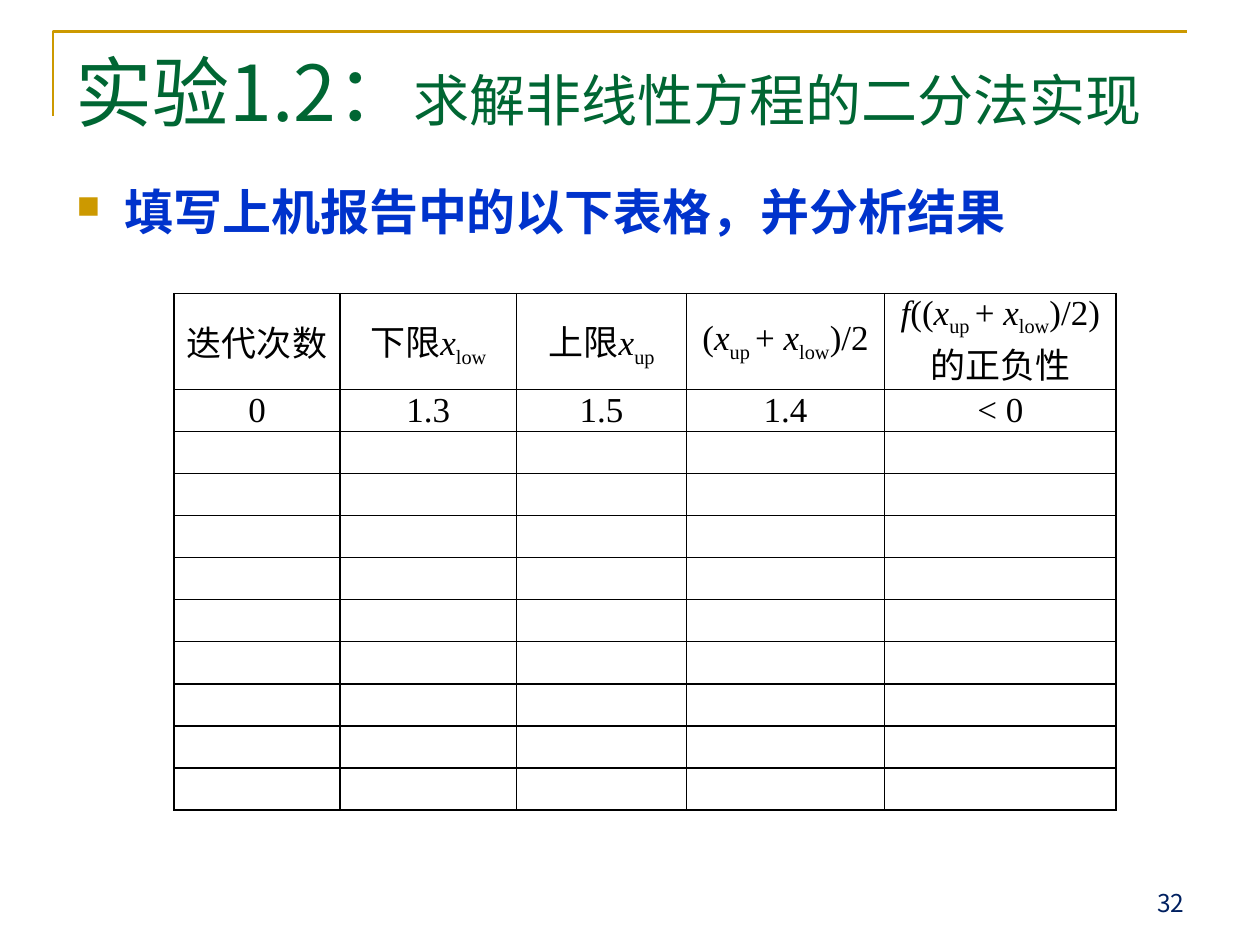
from dataclasses import dataclass

from lxml.etree import SubElement
from pptx import Presentation
from pptx.dml.color import RGBColor as RGB
from pptx.enum.text import MSO_ANCHOR as Anchor, MSO_AUTO_SIZE as AutoSize, PP_ALIGN as Align
from pptx.oxml.ns import qn
from pptx.util import Inches, Pt


@dataclass(frozen=True)
class Theme:
    sans: str = "Noto Sans CJK SC"
    serif: str = "Times New Roman"
    green: str = "006633"
    blue: str = "0033CC"
    navy: str = "002060"
    gold: str = "CC9900"
    black: str = "000000"
    title: int = 44
    subtitle: int = 32
    body: int = 28
    table: int = 20
    number: int = 14


THEME = Theme()

TITLE = [("实验1.2：", {}), ("求解非线性方程的二分法实现", {"size": THEME.subtitle})]
TASK = "填写上机报告中的以下表格，并分析结果"
PAGE_NUMBER = "32"

X = ("x", {"italic": True})
LOW = ("low", {"sub": True})
UP = ("up", {"sub": True})
UP_GAP = ("up ", {"sub": True})
SUM = [X, UP_GAP, "+ ", X, LOW]
HEADINGS = [
    ["迭代次数"],
    ["下限", X, LOW],
    ["上限", X, UP],
    ["(", *SUM, ")/2"],
    [("f", {"italic": True}), "((", *SUM, ")/2)", "\n", "的正负性"],
]
FIRST_ITERATION = ["0", "1.3", "1.5", "1.4", "< 0"]
EMPTY_ROWS = 9

COLUMN_WIDTHS = [1.32, 1.4, 1.35, 1.57, 1.84]
HEADING_HEIGHT, ROW_HEIGHT = 0.76, 0.31


def write(frame, content, *, size, color, font=THEME.sans, bold=False,
          align=Align.LEFT, anchor=Anchor.TOP, bullet=None):
    frame.word_wrap = True
    frame.vertical_anchor = anchor
    paragraph = frame.paragraphs[0]
    paragraph.alignment = align
    if bullet:
        properties = paragraph._p.get_or_add_pPr()
        properties.set("marL", str(Inches(0.38)))
        properties.set("indent", str(-Inches(0.38)))
        bullet_color = SubElement(properties, qn("a:buClr"))
        SubElement(bullet_color, qn("a:srgbClr"), val=THEME.gold)
        SubElement(properties, qn("a:buSzPct"), val="65000")
        SubElement(properties, qn("a:buChar"), char=bullet)
    if not content:
        ending = SubElement(paragraph._p, qn("a:endParaRPr"), sz=str(size * 100))
        SubElement(ending, qn("a:latin"), typeface=font)
    for piece in [content] if isinstance(content, str) else content:
        if piece == "\n":
            paragraph = frame.add_paragraph()
            paragraph.alignment = align
            continue
        words, style = (piece, {}) if isinstance(piece, str) else piece
        if not words:
            continue
        run = paragraph.add_run()
        run.text = words
        run.font.name = font
        run.font.size = Pt(style.get("size", size))
        run.font.bold = bold
        run.font.italic = style.get("italic", False)
        run.font.color.rgb = RGB.from_string(color)
        SubElement(run.font._element, qn("a:ea"), typeface=THEME.sans)
        if style.get("sub"):
            run.font._element.set("baseline", "-25000")


def add_corner_rule(slide):
    outline = slide.shapes.build_freeform(Inches(0.42), Inches(0.92))
    outline.add_line_segments(
        [(Inches(0.42), Inches(0.25)), (Inches(9.42), Inches(0.25))], close=False)
    corner = outline.convert_to_shape()
    corner.shadow.inherit = False
    corner.fill.background()
    corner.line.color.rgb = RGB.from_string(THEME.gold)
    corner.line.width = Pt(1.5)


def add_text(slide, box, content, **style):
    textbox = slide.shapes.add_textbox(*map(Inches, box))
    write(textbox.text_frame, content, **style)


def add_borders(cell):
    properties = cell._tc.get_or_add_tcPr()
    for position, side in enumerate(("a:lnL", "a:lnR", "a:lnT", "a:lnB")):
        border = properties.makeelement(qn(side), {"w": str(Pt(1))})
        properties.insert(position, border)
        fill = SubElement(border, qn("a:solidFill"))
        SubElement(fill, qn("a:srgbClr"), val=THEME.black)


def add_iteration_table(slide):
    rows = [HEADINGS, FIRST_ITERATION] + [[""] * len(HEADINGS)] * EMPTY_ROWS
    heights = [HEADING_HEIGHT] + [ROW_HEIGHT] * (len(rows) - 1)
    table = slide.shapes.add_table(
        len(rows), len(HEADINGS), Inches(1.38), Inches(2.33),
        Inches(sum(COLUMN_WIDTHS)), Inches(sum(heights))).table
    table.first_row = table.horz_banding = False
    for column, width in zip(table.columns, COLUMN_WIDTHS):
        column.width = Inches(width)
    for row, height, contents in zip(table.rows, heights, rows):
        row.height = Inches(height)
        for cell, content in zip(row.cells, contents):
            cell.margin_left = cell.margin_right = Inches(0.08)
            cell.margin_top = cell.margin_bottom = 0
            cell.vertical_anchor = Anchor.MIDDLE
            cell.fill.background()
            add_borders(cell)
            write(cell.text_frame, content, size=THEME.table, color=THEME.black,
                  font=THEME.serif, align=Align.CENTER, anchor=Anchor.MIDDLE)


def main():
    deck = Presentation()
    deck.slide_width, deck.slide_height = Inches(10), Inches(7.5)
    slide = deck.slides.add_slide(deck.slide_layouts[5])
    add_corner_rule(slide)

    title = slide.shapes.title
    title.left, title.top, title.width, title.height = map(Inches, (0.5, 0.3, 9, 1.25))
    title.text_frame.auto_size = AutoSize.NONE
    write(title.text_frame, TITLE, size=THEME.title, color=THEME.green)

    add_text(slide, (0.51, 1.39, 9, 0.7), TASK, size=THEME.body,
             color=THEME.blue, bold=True, bullet="■")
    add_text(slide, (7.17, 6.83, 2.33, 0.5), PAGE_NUMBER, size=THEME.number,
             color=THEME.navy, align=Align.RIGHT, anchor=Anchor.BOTTOM)
    add_iteration_table(slide)
    deck.save("out.pptx")


if __name__ == "__main__":
    main()
